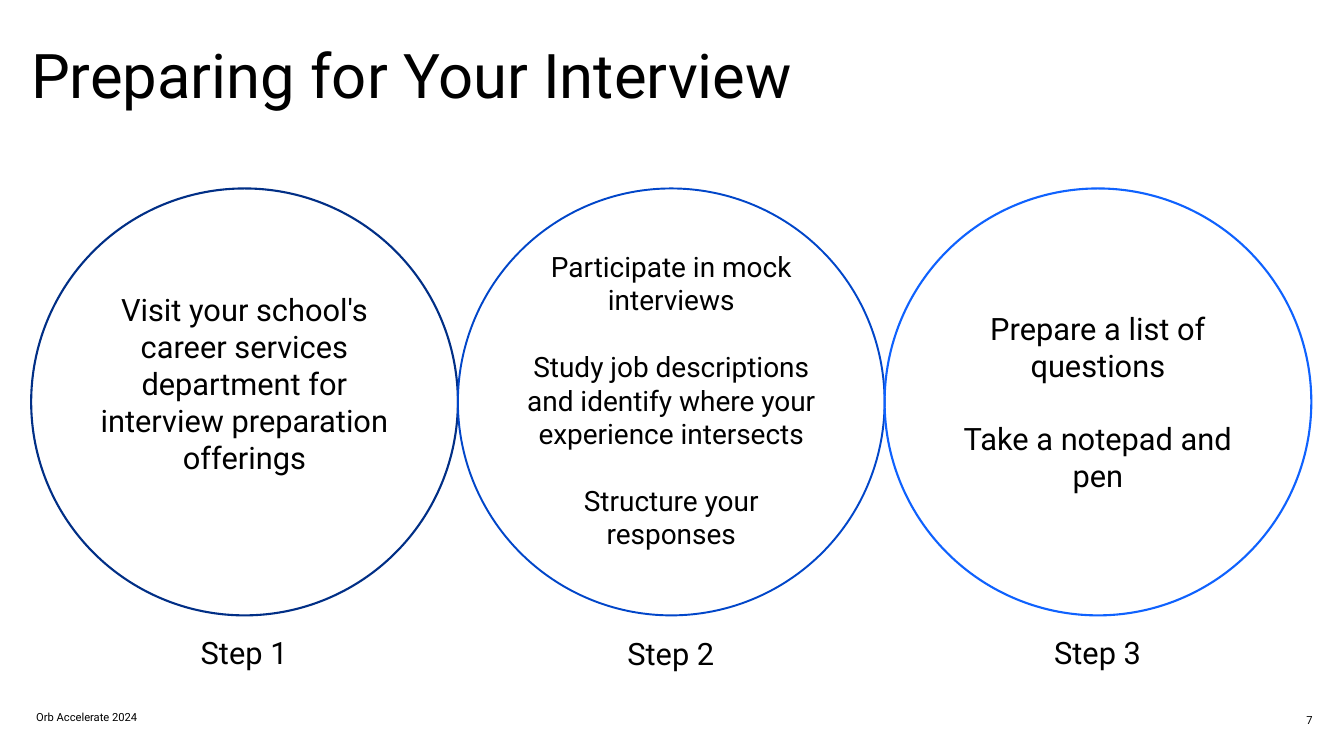
from pptx import Presentation, util as u
from pptx.dml.color import RGBColor
from pptx.enum import shapes, text

WIDTH, HEIGHT = 26.67, 15
MARGIN, COLUMN = 2.32, 31.75
LEFT, CENTER, RIGHT = text.PP_ALIGN.LEFT, text.PP_ALIGN.CENTER, text.PP_ALIGN.RIGHT
TOP, MIDDLE = text.MSO_ANCHOR.TOP, text.MSO_ANCHOR.MIDDLE


def color(hex_string):
    """Turn a hex string into a colour."""
    return RGBColor.from_string(hex_string)


class Deck:
    """Hold the style and the current slide; lengths are percentages of the slide."""

    font, ink = "Roboto", "000000"

    def __init__(self):
        """Start a deck with one title-only slide."""
        self.presentation = Presentation()
        self.presentation.slide_width = u.Inches(WIDTH)
        self.presentation.slide_height = u.Inches(HEIGHT)
        self.slide = self.presentation.slides.add_slide(self.presentation.slide_layouts[5])

    def area(self, left, top, width, height):
        """Turn percentages into slide lengths."""
        sides = zip((left, top, width, height), (WIDTH, HEIGHT) * 2)
        return [u.Inches(share * side / 100) for share, side in sides]

    def fill_text(self, shape, lines, size, align, anchor=TOP, inset=0.0, spacing=None, gap=0, wrap=True):
        """Fill a shape with styled paragraphs."""
        frame = shape.text_frame
        frame.text = "\n".join(lines)
        frame.auto_size = text.MSO_AUTO_SIZE.NONE
        frame.word_wrap, frame.vertical_anchor = wrap, anchor
        frame.margin_left = frame.margin_right = u.Inches(inset)
        frame.margin_top = frame.margin_bottom = u.Inches(inset)
        for index, paragraph in enumerate(frame.paragraphs):
            paragraph.alignment, paragraph.line_spacing = align, spacing
            paragraph.space_before = u.Pt(gap if index else 0)
            paragraph.font.name, paragraph.font.size = self.font, u.Pt(size)
            paragraph.font.color.rgb = color(self.ink)
        return frame

    def title(self, area, words):
        """Place the title."""
        heading = self.slide.shapes.title
        heading.left, heading.top, heading.width, heading.height = self.area(*area)
        self.fill_text(heading, [words], 88, LEFT, spacing=1.1)

    def label(self, area, words, size, align, **style):
        """Place a line of text."""
        self.fill_text(self.slide.shapes.add_textbox(*self.area(*area)), [words], size, align, **style)

    def circle(self, area, advice, size, outline, weight, lift):
        """Place an outlined circle of advice, lifted by extra room below."""
        ring = self.slide.shapes.add_shape(shapes.MSO_SHAPE.OVAL, *self.area(*area))
        ring.shadow.inherit = False
        ring.fill.background()
        ring.line.color.rgb, ring.line.width = color(outline), u.Pt(weight)
        frame = self.fill_text(ring, advice, size, CENTER, MIDDLE, 0.1, gap=size * 1.18)
        frame.margin_bottom = u.Inches(0.1 + lift)


def main():
    """Build the interview preparation slide."""
    steps = [
        (["Visit your school's career services department for interview preparation offerings"],
         44, "012F86", 3, 0.73, 83.33),
        (["Participate in mock interviews",
          "Study job descriptions and identify where your experience intersects",
          "Structure your responses"], 40, "0146C9", 2.75, 0.08, 83.53),
        (["Prepare a list of questions", "Take a notepad and pen"], 44, "0F62FE", 3, 0, 83.33),
    ]
    deck = Deck()
    deck.title((MARGIN, 3.87, 60.07, 11.13), "Preparing for Your Interview")
    for index, (advice, size, outline, weight, lift, label_top) in enumerate(steps):
        left = MARGIN + index * COLUMN
        deck.circle((left, 24.93, COLUMN, 56.47), advice, size, outline, weight, lift)
        deck.label((left + COLUMN / 2 - 3.4, label_top, 6.75, 4.07), f"Step {index + 1}",
                   44, CENTER, spacing=1.1)
    deck.label((MARGIN, 93.33, 20.32, 2.8), "Orb Accelerate 2024", 16, LEFT, inset=0.1)
    deck.label((96.55, 94.33, 1.12, 1.8), "7", 16, RIGHT, anchor=MIDDLE, wrap=False)
    deck.presentation.save("out.pptx")


if __name__ == "__main__":
    main()
